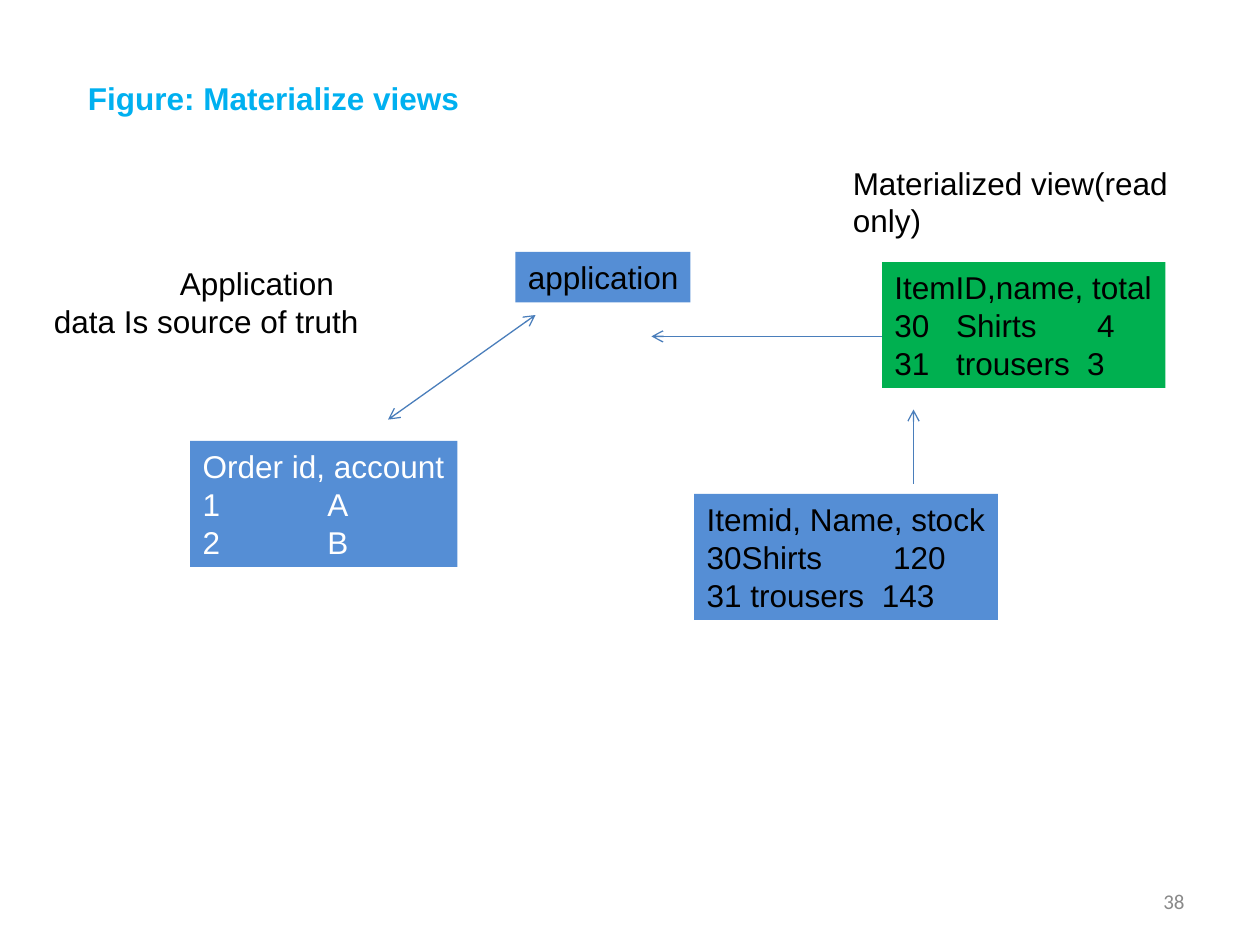
from lxml import etree
from pptx import Presentation
from pptx.dml.color import RGBColor
from pptx.enum.shapes import MSO_CONNECTOR
from pptx.enum.text import MSO_ANCHOR, PP_ALIGN
from pptx.oxml.ns import qn
from pptx.util import Inches, Pt

STRAIGHT = MSO_CONNECTOR.STRAIGHT
MIDDLE = MSO_ANCHOR.MIDDLE
RIGHT = PP_ALIGN.RIGHT

COLORS = {
    "blue": "558ED5",
    "green": "00B050",
    "title": "00B0F0",
    "line": "4A7EBB",
    "black": "000000",
    "white": "FFFFFF",
    "gray": "898989",
}
BODY = {"name": "Arial", "size": Pt(18)}
BOLD = {**BODY, "bold": True}
NUMBER = {"name": "Calibri", "size": Pt(12)}


def rgb(color):
    return RGBColor.from_string(COLORS[color])


def format_para(para, text, color, formats):
    para.text = text
    para.font.color.rgb = rgb(color)
    for name, value in formats.items():
        setattr(para.font, name, value)


def add_tabs(para, stops):
    tabs = etree.SubElement(para._p.get_or_add_pPr(), qn("a:tabLst"))
    for stop in stops:
        etree.SubElement(tabs, qn("a:tab"), pos=str(Inches(stop)), algn="l")


def add_numbering(para, start):
    props = para._p.get_or_add_pPr()
    props.set("marL", "0")
    props.set("indent", "0")
    etree.SubElement(props, qn("a:buFont"), typeface="Arial")
    etree.SubElement(props, qn("a:buAutoNum"), type="arabicPlain", startAt=str(start))


def add_text(page, place, text, color="black", formats=BODY, fill=None, tabs=()):
    box = page.shapes.add_textbox(*map(Inches, place))
    if fill:
        box.fill.solid()
        box.fill.fore_color.rgb = rgb(fill)
    frame = box.text_frame
    frame.word_wrap = True
    frame.margin_right = Inches(0.05)
    para = frame.paragraphs[0]
    if tabs:
        add_tabs(para, tabs)
    format_para(para, text, color, formats)
    return frame


def add_records(page, place, heading, start, rows, fill="blue", color="black"):
    """Add a filled box with a heading and numbered rows of (text, tab stops)."""
    frame = add_text(page, place, heading, color, fill=fill)
    for text, stops in rows:
        para = frame.add_paragraph()
        add_numbering(para, start)
        add_tabs(para, stops)
        format_para(para, text, color, BODY)


def add_arrow(page, begin, end, both=False):
    arrow = page.shapes.add_connector(STRAIGHT, *map(Inches, begin + end))
    arrow.line.color.rgb = rgb("line")
    arrow.line.width = Pt(0.75)
    line = arrow.line._get_or_add_ln()
    for tag in ("a:headEnd", "a:tailEnd") if both else ("a:tailEnd",):
        etree.SubElement(line, qn(tag), type="arrow")
    etree.SubElement(arrow._element.spPr, qn("a:effectLst"))


def add_page_number(page, number):
    frame = add_text(page, (7.17, 6.95, 2.33, 0.4), number, "gray", NUMBER)
    frame.margin_right = Inches(0.1)
    frame.vertical_anchor = MIDDLE
    frame.paragraphs[0].alignment = RIGHT


def main():
    deck = Presentation()
    deck.slide_width, deck.slide_height = Inches(10), Inches(7.5)
    page = deck.slides.add_slide(deck.slide_layouts[6])

    add_page_number(page, "38")
    add_text(page, (4.09, 2, 1.39, 0.4), "application", fill="blue")
    add_records(page, (1.51, 3.5, 2.12, 1), "Order id, account", 1,
                [("\tA", [0.99]), ("\tB", [0.99])], color="white")
    add_records(page, (5.51, 3.92, 2.41, 1), "Itemid, Name, stock", 30,
                [("Shirts\t120", [1.48]), (" trousers\t143", [1.39])])

    add_arrow(page, (7, 2.67), (5.17, 2.67))
    add_arrow(page, (3.08, 3.33), (4.25, 2.5), both=True)
    add_arrow(page, (7.25, 3.84), (7.25, 3.25))

    add_records(page, (7, 2.08, 2.25, 1), "ItemID,name, total", 30,
                [("\tShirts\t4", [0.49, 1.61]), ("\ttrousers\t3", [0.49, 1.53])],
                fill="green")
    add_text(page, (6.67, 1.25, 2.67, 0.7), "Materialized view(read only)")
    add_text(page, (0.6, 0.58, 3.14, 0.4), "Figure: Materialize views", "title", BOLD)
    add_text(page, (0.33, 2.05, 2.75, 0.7), "\tApplication data Is source of truth",
             tabs=[1])

    deck.save("out.pptx")


if __name__ == "__main__":
    main()
